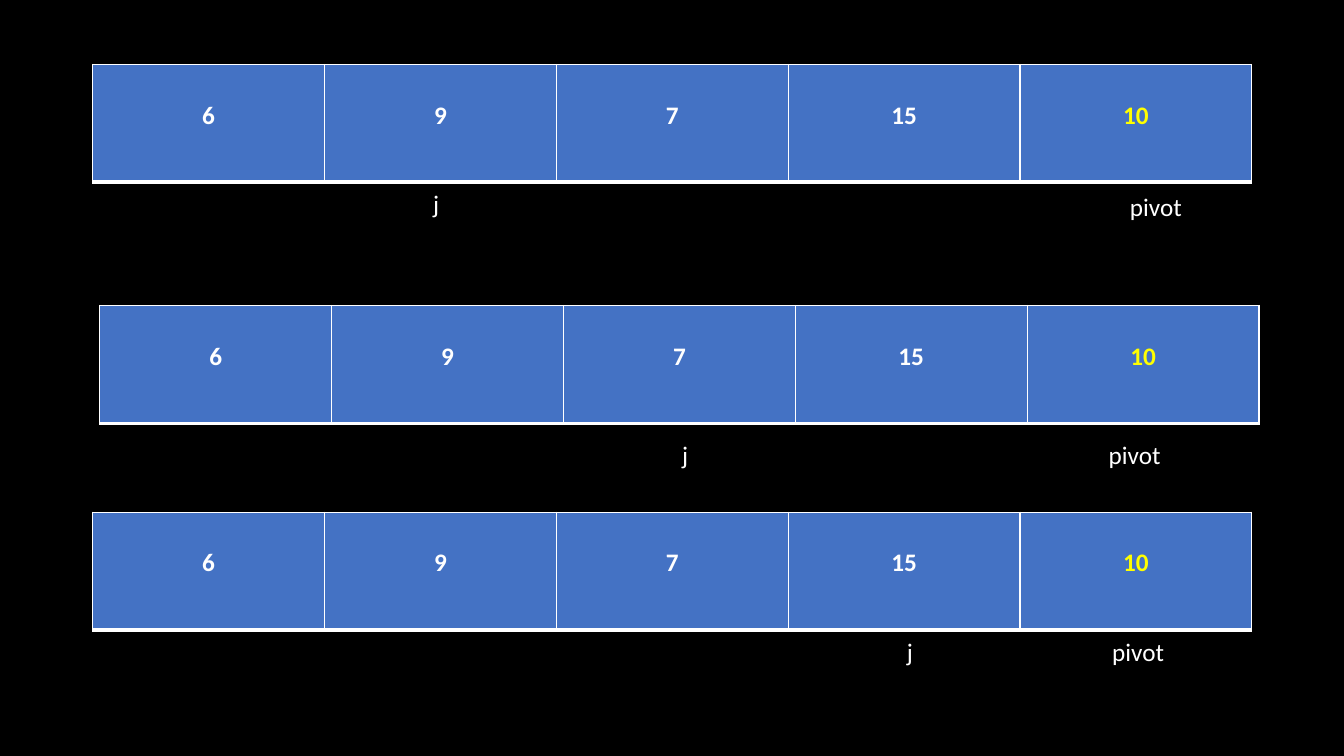
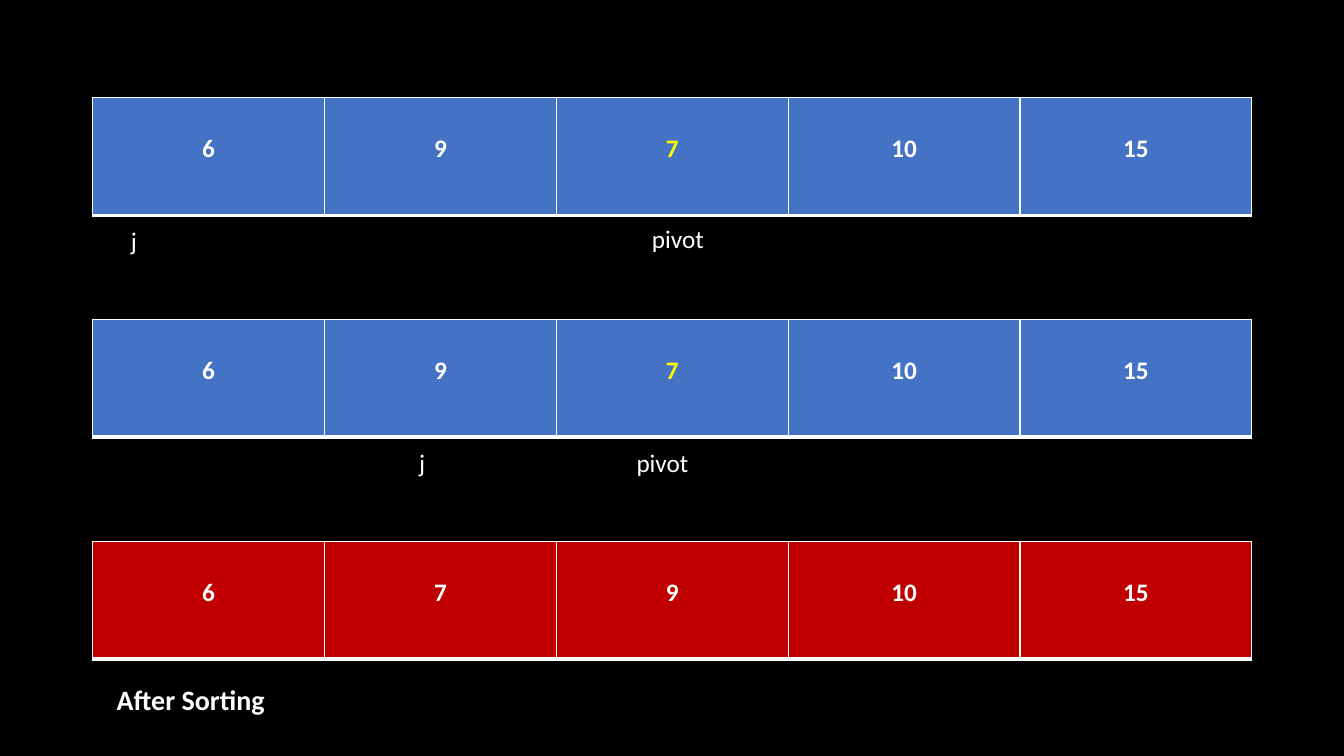
from lxml.etree import SubElement
from pptx import Presentation
from pptx.dml.color import RGBColor
from pptx.enum.text import MSO_AUTO_SIZE as AutoSize, PP_ALIGN as Align
from pptx.oxml.ns import qn
from pptx.util import Pt

BLACK = RGBColor(0x00, 0x00, 0x00)
WHITE = RGBColor(0xFF, 0xFF, 0xFF)
YELLOW = RGBColor(0xFF, 0xFF, 0x00)
BLUE = RGBColor(0x44, 0x72, 0xC4)
RED = RGBColor(0xC0, 0x00, 0x00)
FONT = "Calibri"

ARRAY_LEFT = 66.2
CELL_WIDTH, CELL_HEIGHT = 165.6, 84.2
CELL_TOP_MARGIN = 25.6
BORDERS = {"lnL": 1, "lnR": 1, "lnT": 1, "lnB": 3}

PARTITION_RIGHT = dict(values=[6, 9, 7, 15, 10], pivot=10)
PARTITION_LEFT = dict(values=[6, 9, 7, 10, 15], pivot=7)
SORTED = dict(values=[6, 7, 9, 10, 15], fill=RED)

# Each page is a list of (array, left, top, labels); a label is (text, left, top, format).
PAGES = [
    [
        (PARTITION_RIGHT, ARRAY_LEFT, 46, [("j", 302.4, 131, {}), ("pivot", 800, 133.2, {})]),
        (PARTITION_RIGHT, 71.3, 218.2, [("j", 480.2, 310.3, {}), ("pivot", 784.9, 310.3, {})]),
        (PARTITION_RIGHT, ARRAY_LEFT, 365.8, [("j", 640.8, 450.7, {}), ("pivot", 787.4, 450.7, {})]),
    ],
    [
        (PARTITION_LEFT, ARRAY_LEFT, 69.8, [("j", 86.4, 157.2, {}), ("pivot", 458.6, 156.2, {})]),
        (PARTITION_LEFT, ARRAY_LEFT, 228.2, [("j", 292.3, 316.1, {}), ("pivot", 447.6, 316.1, {})]),
        (SORTED, ARRAY_LEFT, 386.6,
         [("After Sorting", 76.3, 483.8, dict(size=20, bold=True, width=127.4))]),
    ],
]


def write(frame, text, size=18, bold=False, color=WHITE, align=Align.LEFT):
    para = frame.paragraphs[0]
    para.alignment = align
    span = para.add_run()
    span.text = text
    span.font.name = FONT
    span.font.size = Pt(size)
    span.font.bold = bold
    span.font.color.rgb = color


def add_borders(cell):
    properties = cell._tc.get_or_add_tcPr()
    for side, width in BORDERS.items():
        line = SubElement(properties, qn(f"a:{side}"), w=str(Pt(width)))
        fill = SubElement(line, qn("a:solidFill"))
        SubElement(fill, qn("a:srgbClr"), val=str(WHITE))


def add_array(page, left, top, values, pivot=None, fill=BLUE):
    """Draw the values as a one-row table, with the pivot in yellow."""
    table = page.shapes.add_table(
        1, len(values), Pt(left), Pt(top), Pt(CELL_WIDTH * len(values)), Pt(CELL_HEIGHT)
    ).table
    table.first_row = table.horz_banding = False
    for column, value in enumerate(values):
        table.columns[column].width = Pt(CELL_WIDTH)
        cell = table.cell(0, column)
        add_borders(cell)
        cell.fill.solid()
        cell.fill.fore_color.rgb = fill
        cell.margin_top = Pt(CELL_TOP_MARGIN)
        write(cell.text_frame, str(value), bold=True, align=Align.CENTER,
              color=YELLOW if value == pivot else WHITE)


def add_label(page, text, left, top, width=72, **text_format):
    box = page.shapes.add_textbox(Pt(left), Pt(top), Pt(width), Pt(29))
    frame = box.text_frame
    frame.word_wrap = True
    frame.auto_size = AutoSize.SHAPE_TO_FIT_TEXT
    write(frame, text, **text_format)


def main():
    deck = Presentation()
    deck.slide_width, deck.slide_height = Pt(960), Pt(540)
    background = deck.slide_master.background.fill
    background.solid()
    background.fore_color.rgb = BLACK
    blank_layout = deck.slide_layouts[6]

    for steps in PAGES:
        page = deck.slides.add_slide(blank_layout)
        for array, left, top, labels in steps:
            add_array(page, left, top, **array)
            for text, label_left, label_top, text_format in labels:
                add_label(page, text, label_left, label_top, **text_format)

    deck.save("out.pptx")


if __name__ == "__main__":
    main()
